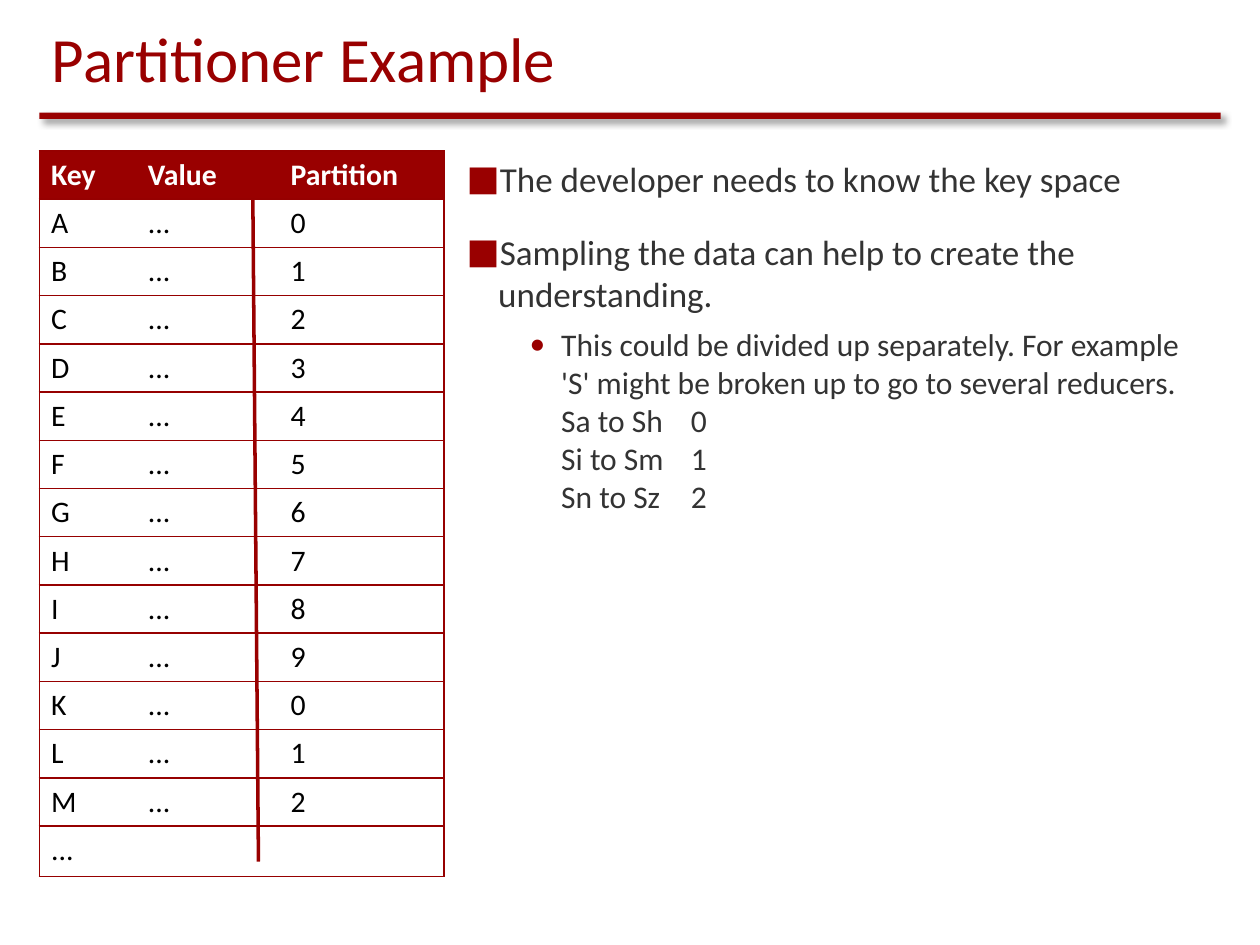
from lxml import etree
from pptx import Presentation
from pptx.dml.color import RGBColor
from pptx.enum.shapes import MSO_CONNECTOR, MSO_SHAPE
from pptx.enum.text import MSO_ANCHOR, MSO_AUTO_SIZE, PP_ALIGN
from pptx.oxml.ns import qn
from pptx.util import Pt

STRAIGHT = MSO_CONNECTOR.STRAIGHT
RECTANGLE = MSO_SHAPE.RECTANGLE
BOTTOM = MSO_ANCHOR.BOTTOM
LEFT = PP_ALIGN.LEFT
NO_AUTOFIT = MSO_AUTO_SIZE.NONE

RED, BORDER, GREY = "990000", "960000", "333333"
BLACK, WHITE = "000000", "FFFFFF"


def color(hex_value):
    return RGBColor.from_string(hex_value)


def sub(parent, tag, **attributes):
    return etree.SubElement(parent, qn(tag), attributes)


class SlideBuilder:
    """Holds the deck's style and draws elements on the current slide."""

    font = "Calibri"

    def __init__(self, slide):
        self.slide = slide

    def run(self, paragraph, text, size, hex_value, bold=False):
        run = paragraph.add_run()
        run.text = text
        run.font.name = self.font
        run.font.size = Pt(size)
        run.font.bold = bold
        run.font.color.rgb = color(hex_value)

    def place(self, placeholder, left, top, width, height):
        placeholder.left, placeholder.top = Pt(left), Pt(top)
        placeholder.width, placeholder.height = Pt(width), Pt(height)
        placeholder.text_frame.auto_size = NO_AUTOFIT
        return placeholder.text_frame

    def title(self, text, *box):
        frame = self.place(self.slide.shapes.title, *box)
        frame.vertical_anchor = BOTTOM
        heading = frame.paragraphs[0]
        heading.alignment = LEFT
        self.run(heading, text, 36, RED)

    def bullets(self, items, *box):
        frame = self.place(self.slide.placeholders[1], *box)
        for index, (level, lines) in enumerate(items):
            item = frame.add_paragraph() if index else frame.paragraphs[0]
            self.bullet(item, level, lines)

    def bullet(self, item, level, lines):
        mark, size, before, margin = (("■", 20, 18, 18), ("•", 18, 6, 54))[level]
        item.level = level
        item.space_before = Pt(before)
        properties = item._p.get_or_add_pPr()
        properties.set("marL", str(Pt(margin)))
        properties.set("indent", str(Pt(-18)))
        sub(sub(properties, "a:buClr"), "a:srgbClr", val=RED)
        sub(properties, "a:buFont", typeface=self.font)
        sub(properties, "a:buChar", char=mark)
        if len(lines) > 1:
            stops = sub(properties, "a:tabLst")
            sub(stops, "a:tab", pos=str(Pt(margin + 74)), algn="l")
        for index, line in enumerate(lines):
            if index:
                item.add_line_break()
            self.run(item, line, size, GREY)

    def rule(self, left, top, width, height):
        bar = self.slide.shapes.add_shape(
            RECTANGLE, Pt(left), Pt(top), Pt(width), Pt(height))
        bar.fill.solid()
        bar.fill.fore_color.rgb = color(RED)
        bar.line.fill.background()
        bar.shadow.inherit = False
        effects = bar._element.spPr.find(qn("a:effectLst"))
        shadow = sub(effects, "a:outerShdw", blurRad=str(Pt(4)),
                     dist=str(Pt(3)), dir="2700000", rotWithShape="0")
        sub(sub(shadow, "a:srgbClr", val=BLACK), "a:alpha", val="43000")

    def line(self, start, end, width):
        divider = self.slide.shapes.add_connector(
            STRAIGHT, *(Pt(value) for value in start + end))
        divider.line.color.rgb = color(RED)
        divider.line.width = Pt(width)
        sub(divider._element.spPr, "a:effectLst")

    def table(self, rows, left, top, widths, row_height):
        table = self.slide.shapes.add_table(
            len(rows), len(widths), Pt(left), Pt(top),
            Pt(sum(widths)), Pt(row_height * len(rows))).table
        for column, width in zip(table.columns, widths):
            column.width = Pt(width)
        for row_index, row in enumerate(rows):
            table.rows[row_index].height = Pt(row_height)
            for column_index, text in enumerate(row):
                self.cell(table.cell(row_index, column_index), text,
                          header=row_index == 0,
                          first=column_index == 0,
                          last=column_index == len(row) - 1)

    def cell(self, cell, text, header, first, last):
        properties = cell._tc.get_or_add_tcPr()
        sides = {"a:lnL": first, "a:lnR": last, "a:lnT": True, "a:lnB": True}
        for side, visible in sides.items():
            edge = sub(properties, side, w=str(Pt(1)))
            if visible:
                sub(sub(edge, "a:solidFill"), "a:srgbClr", val=BORDER)
            else:
                sub(edge, "a:noFill")
        cell.fill.solid()
        cell.fill.fore_color.rgb = color(RED if header else WHITE)
        cell.margin_left = cell.margin_right = Pt(6.8)
        cell.margin_top = cell.margin_bottom = Pt(3.4)
        if text:
            self.run(cell.text_frame.paragraphs[0], text, 17,
                     WHITE if header else BLACK, header)


def main():
    deck = Presentation()
    deck.slide_width, deck.slide_height = Pt(720), Pt(540)
    builder = SlideBuilder(deck.slides.add_slide(deck.slide_layouts[1]))

    builder.rule(22.5, 64.3, 675, 3.7)
    builder.title("Partitioner Example", 22.5, 10, 675, 48)

    partitions = [(key, "...", str(index % 10))
                  for index, key in enumerate("ABCDEFGHIJKLM")]
    rows = [("Key", "Value", "Partition"), *partitions, ("...", "", "")]
    builder.table(rows, 22.5, 86.3, (55.3, 81.5, 94.4), 27.5)

    builder.bullets([
        (0, ["The developer needs to know the key space"]),
        (0, ["Sampling the data can help to create the understanding."]),
        (1, ["This could be divided up separately. For example 'S' might be "
             "broken up to go to several reducers.",
             "Sa to Sh\t0", "Si to Sm\t1", "Sn to Sz\t2"]),
    ], 259.5, 86.3, 438, 413)

    builder.line((144.5, 114), (147.7, 492.3), 2)
    deck.save("out.pptx")


if __name__ == "__main__":
    main()
